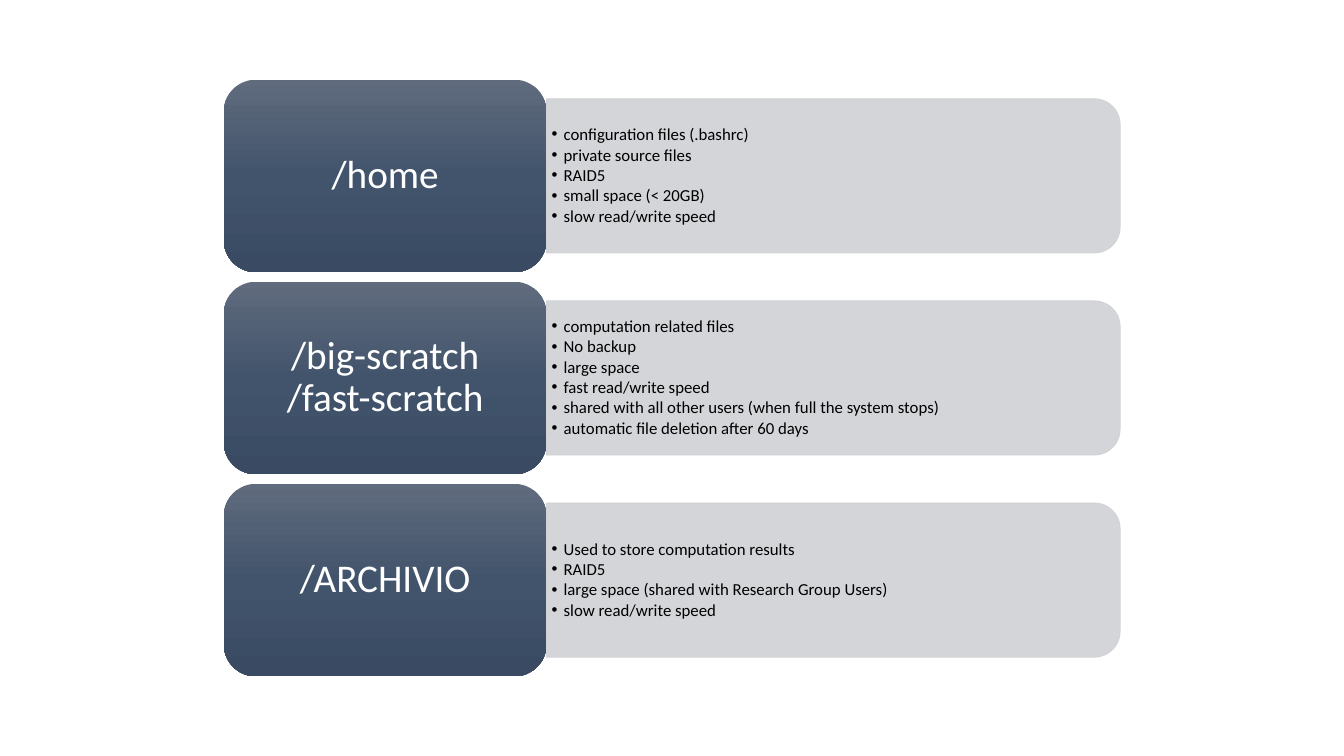
from lxml.etree import SubElement
from pptx import Presentation
from pptx.dml.color import RGBColor
from pptx.enum.shapes import MSO_SHAPE
from pptx.enum.text import MSO_ANCHOR, PP_ALIGN
from pptx.oxml import parse_xml
from pptx.oxml.ns import nsdecls, qn
from pptx.util import Inches, Pt

LABEL_STOPS = [(0, "606B7D"), (50, "42546C"), (100, "394A62")]
PANEL_COLOR = "CFD1D4"
LABEL_WIDTH = 3.2
ROW_HEIGHT = 1.91
ROW_PITCH = 2.005
PANEL_HEIGHT = 1.53
BULLETS_HEIGHT = 1.38

DIRECTORIES = [
    ("/home", [
        "configuration files (.bashrc)",
        "private source files",
        "RAID5",
        "small space (< 20GB)",
        "slow read/write speed",
    ]),
    ("/big-scratch\n/fast-scratch", [
        "computation related files",
        "No backup",
        "large space",
        "fast read/write speed",
        "shared with all other users (when full the system stops)",
        "automatic file deletion after 60 days",
    ]),
    ("/ARCHIVIO", [
        "Used to store computation results",
        "RAID5",
        "large space (shared with Research Group Users)",
        "slow read/write speed",
    ]),
]


def color(hex_string):
    return RGBColor.from_string(hex_string)


def set_opacity(fill_format, percent):
    fill_format.solid()
    fill_format.fore_color.rgb = color(PANEL_COLOR)


def add_alpha(shape, percent):
    for color_element in shape._element.spPr.iter(qn("a:srgbClr")):
        SubElement(color_element, qn("a:alpha"), val=str(percent * 1000))


def set_gradient(shape, stops):
    stop_xml = "".join(
        f'<a:gs pos="{position * 1000}"><a:srgbClr val="{value}"/></a:gs>'
        for position, value in stops
    )
    gradient = parse_xml(
        f'<a:gradFill {nsdecls("a")} rotWithShape="1"><a:gsLst>{stop_xml}</a:gsLst>'
        '<a:lin ang="5400000" scaled="0"/></a:gradFill>'
    )
    shape._element.spPr.find(qn("a:prstGeom")).addnext(gradient)


def set_bullet(paragraph, indent):
    paragraph.level = 1
    properties = paragraph._p.get_or_add_pPr()
    properties.set("marL", str(Inches(indent)))
    properties.set("indent", str(-Inches(indent)))
    SubElement(properties, qn("a:buFont"), typeface="Arial")
    SubElement(properties, qn("a:buChar"), char="•")


def write_text(shape, lines, size, text_color, align, margins, space_after=0, bullet_indent=None):
    frame = shape.text_frame
    frame.word_wrap = True
    frame.vertical_anchor = MSO_ANCHOR.MIDDLE
    frame.margin_left = frame.margin_right = Inches(margins[0])
    frame.margin_top = frame.margin_bottom = Inches(margins[1])
    for index, line in enumerate(lines):
        paragraph = frame.add_paragraph() if index else frame.paragraphs[0]
        paragraph.text = line
        paragraph.alignment = align
        paragraph.line_spacing = 0.9
        paragraph.space_after = Pt(space_after)
        if bullet_indent:
            set_bullet(paragraph, bullet_indent)
        for run in paragraph.runs:
            run.font.name = "Calibri"
            run.font.size = Pt(size)
            run.font.color.rgb = color(text_color)


def add_panel(slide, left, top, width, height):
    shape = slide.shapes.add_shape(
        MSO_SHAPE.ROUND_2_SAME_RECTANGLE,
        Inches(left + (width - height) / 2), Inches(top + (height - width) / 2),
        Inches(height), Inches(width),
    )
    shape.rotation = 90
    shape.shadow.inherit = False
    shape.fill.solid()
    shape.fill.fore_color.rgb = color(PANEL_COLOR)
    shape.line.color.rgb = color(PANEL_COLOR)
    shape.line.width = Pt(0.5)
    add_alpha(shape, 90)


def add_bullets(slide, left, top, width, height, lines):
    box = slide.shapes.add_textbox(Inches(left), Inches(top), Inches(width), Inches(height))
    write_text(box, lines, size=12, text_color="000000", align=PP_ALIGN.LEFT,
               margins=(0.05, 0.03), space_after=1.6, bullet_indent=0.12)


def add_label(slide, left, top, width, height, name):
    shape = slide.shapes.add_shape(
        MSO_SHAPE.ROUNDED_RECTANGLE, Inches(left), Inches(top), Inches(width), Inches(height)
    )
    shape.shadow.inherit = False
    shape.line.fill.background()
    set_gradient(shape, LABEL_STOPS)
    write_text(shape, [name], size=28, text_color="FFFFFF", align=PP_ALIGN.CENTER,
               margins=(0.12, 0.06))


def add_directory_row(slide, left, top, width, name, lines):
    panel_left = left + LABEL_WIDTH
    panel_width = width - LABEL_WIDTH
    middle = top + ROW_HEIGHT / 2
    add_panel(slide, panel_left, middle - PANEL_HEIGHT / 2, panel_width, PANEL_HEIGHT)
    add_bullets(slide, panel_left, middle - BULLETS_HEIGHT / 2,
                panel_width - 0.08, BULLETS_HEIGHT, lines)
    add_label(slide, left, top, LABEL_WIDTH, ROW_HEIGHT, name)


def main():
    presentation = Presentation()
    presentation.slide_width = Inches(13.33)
    presentation.slide_height = Inches(7.5)
    slide = presentation.slides.add_slide(presentation.slide_layouts[6])
    for index, (name, lines) in enumerate(DIRECTORIES):
        add_directory_row(slide, 2.22, 0.79 + index * ROW_PITCH, 8.89, name, lines)
    presentation.save("out.pptx")


if __name__ == "__main__":
    main()
